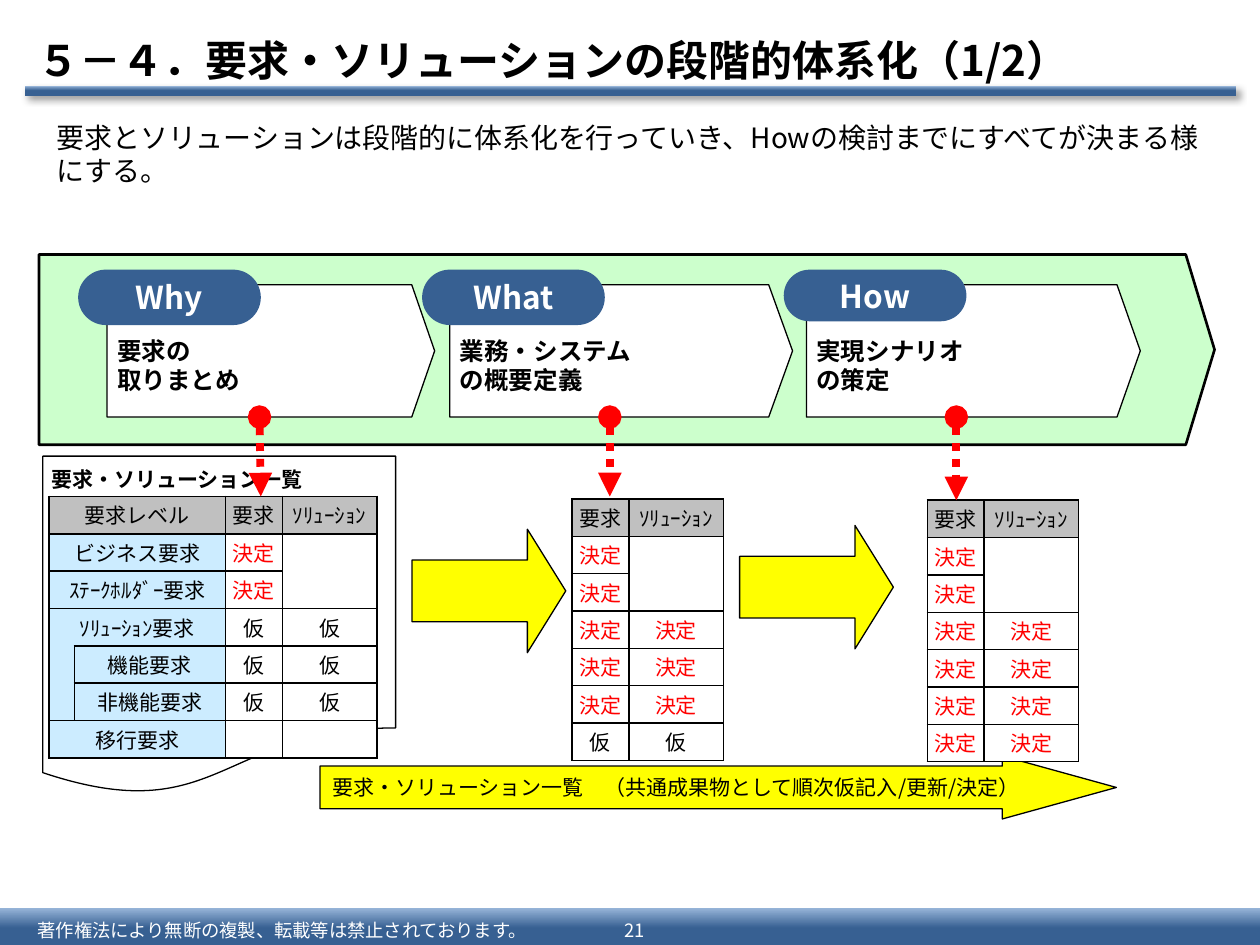
from dataclasses import dataclass

from lxml import etree
from pptx import Presentation
from pptx import util as u
from pptx.dml.color import RGBColor
from pptx.enum import shapes, text
from pptx.oxml import ns


@dataclass(frozen=True)
class Theme:
    font: str = "Noto Sans CJK JP"
    ink: str = "000000"
    paper: str = "FFFFFF"
    navy: str = "376092"
    sky: str = "95B3D7"
    band: str = "CCFFCC"
    arrow: str = "FFFF00"
    header: str = "C0C0C0"
    level: str = "CCECFF"
    decided: str = "FF0000"
    title: float = 24
    pill: float = 18
    body: float = 16
    stage: float = 14
    small: float = 12
    footer: float = 10.5


T = Theme()
GEO = shapes.MSO_SHAPE
CENTER = text.PP_ALIGN.CENTER
MIDDLE = text.MSO_ANCHOR.MIDDLE
HEADINGS = ["要求", "ｿﾘｭｰｼｮﾝ"]


def box_of(*box):
    return [u.Inches(v) for v in box]


def sub(parent, tag, **attrs):
    return etree.SubElement(parent, ns.qn(tag), attrs)


def write(frame, content, size=T.small, color=T.ink, bold=False, align=text.PP_ALIGN.LEFT,
          anchor=MIDDLE, wrap=False, insets=None, pitch=None):
    """Fill a text frame; each line of content becomes a paragraph."""
    frame.word_wrap = wrap
    frame.vertical_anchor = anchor
    if insets:
        (frame.margin_left, frame.margin_top,
         frame.margin_right, frame.margin_bottom) = box_of(*insets)
    for i, line in enumerate(content.split("\n")):
        para = frame.paragraphs[0] if i == 0 else frame.add_paragraph()
        para.alignment = align
        if pitch:
            para.line_spacing = u.Pt(pitch)
        if not line:
            # An empty cell keeps the type size, so its row does not grow
            sub(para._p, "a:endParaRPr", sz=str(round(size * 100)))
            continue
        run = para.add_run()
        run.text = line
        run.font.size = u.Pt(size)
        run.font.bold = bold
        run.font.name = T.font
        run.font.color.rgb = RGBColor.from_string(color)
        sub(run.font._element, "a:ea", typeface=T.font)


def add_text(slide, box, content, **style):
    write(slide.shapes.add_textbox(*box_of(*box)).text_frame, content, **style)


def add_shape(slide, geometry, box, fill=None, line=None, adjust=()):
    shape = slide.shapes.add_shape(geometry, *box_of(*box))
    shape.shadow.inherit = False
    for i, value in enumerate(adjust):
        shape.adjustments[i] = value
    if fill:
        shape.fill.solid()
        shape.fill.fore_color.rgb = RGBColor.from_string(fill)
    if line:
        shape.line.color.rgb = RGBColor.from_string(T.ink)
        shape.line.width = u.Pt(line)
    else:
        shape.line.fill.background()
    return shape


def gradient_bar(slide, box):
    bar = add_shape(slide, GEO.RECTANGLE, box)
    bar.fill.gradient()
    bar.fill.gradient_angle = 90
    for stop, color, position in zip(bar.fill.gradient_stops, (T.navy, T.sky), (0.5, 1)):
        stop.color.rgb = RGBColor.from_string(color)
        stop.position = position
    return bar


def page_frame(slide, title, notice, number):
    """Title with its shadowed rule, and the footer band."""
    gradient_bar(slide, (0, 7.21, 10, 0.31))
    rule = gradient_bar(slide, (0.2, 0.68, 9.61, 0.08))
    effects = rule._element.spPr.find(ns.qn("a:effectLst"))
    shadow = sub(effects, "a:outerShdw", blurRad=str(u.Pt(4)), dist=str(u.Pt(3)),
                 dir="2700000", algn="tl", rotWithShape="0")
    sub(sub(shadow, "a:srgbClr", val=T.ink), "a:alpha", val="40000")
    footer = dict(size=T.footer, color=T.paper, insets=(0.1, 0.04, 0.1, 0.04), wrap=True)
    add_text(slide, (0.2, 7.25, 4.25, 0.26), notice, **footer)
    add_text(slide, (4.76, 7.25, 0.55, 0.26), number, align=CENTER, **footer)

    heading = slide.shapes.title
    heading.left, heading.top, heading.width, heading.height = box_of(0.2, 0.2, 9.8, 0.54)
    write(heading.text_frame, title, size=T.title, bold=True, wrap=True)
    heading.text_frame.auto_size = text.MSO_AUTO_SIZE.NONE


def stage(slide, box, name, task, pill_box, adjust):
    """White pentagon with its task, and the question on a pill."""
    pentagon = add_shape(slide, GEO.PENTAGON, box, T.paper, 0.75, [adjust])
    write(pentagon.text_frame, task, size=T.stage, bold=True,
          insets=(0.08, 0.23, 0.1, 0), pitch=16.5)
    pill = add_shape(slide, GEO.ROUNDED_RECTANGLE, pill_box, T.navy, adjust=[0.5])
    write(pill.text_frame, name, size=T.pill, color=T.paper, bold=True,
          align=CENTER, insets=(0.08, 0, 0.08, 0))


def format_cell(cell, content, fill, color, open_sides):
    write(cell.text_frame, content, color=color, align=CENTER, wrap=True, pitch=17)
    cell.vertical_anchor = MIDDLE
    cell.margin_left = cell.margin_right = u.Inches(0.04)
    cell.margin_top = cell.margin_bottom = u.Inches(0.03)
    tc_pr = cell._tc.get_or_add_tcPr()
    for side in "LRTB":
        border = sub(tc_pr, "a:ln" + side, w=str(u.Pt(1)))
        if side in open_sides:
            sub(border, "a:noFill")
        else:
            sub(sub(border, "a:solidFill"), "a:srgbClr", val=T.ink)
    cell.fill.solid()
    cell.fill.fore_color.rgb = RGBColor.from_string(fill)


def status_table(slide, left, top, rows, levels=()):
    """Decision status per requirement level, optionally with the level names."""
    widths = ([0.2, 1.2] if levels else []) + [0.45, 0.75]
    first = len(widths) - 2
    height = 0.26
    frame = slide.shapes.add_table(len(rows) + 1, len(widths),
                                   *box_of(left, top, sum(widths), height * (len(rows) + 1)))
    table = frame.table
    table.first_row = table.horz_banding = False
    for column, width in zip(table.columns, widths):
        column.width = u.Inches(width)
    for row in table.rows:
        row.height = u.Inches(height)

    # Sides without a border join neighbouring cells
    open_sides = {(1, first + 1): "B", (2, first + 1): "T"}
    for r, values in enumerate([HEADINGS, *rows]):
        for c, value in enumerate(values, first):
            color = T.decided if value == "決定" else T.ink
            format_cell(table.cell(r, c), value, T.paper if r else T.header,
                        color, open_sides.get((r, c), ""))

    # Level names; the two kinds of solution requirement are indented
    for r, level in enumerate(levels):
        indented = level in ("機能要求", "非機能要求")
        if not indented:
            table.cell(r, 0).merge(table.cell(r, 1))
        format_cell(table.cell(r, 1 if indented else 0), level,
                    T.level if r else T.header, T.ink, "B" if level == "ｿﾘｭｰｼｮﾝ要求" else "")
    if levels:
        table.cell(4, 0).merge(table.cell(5, 0))
        format_cell(table.cell(4, 0), "", T.level, T.ink, "T")


def dotted_arrow(slide, x1, y1, x2, y2):
    arrow = slide.shapes.add_connector(shapes.MSO_CONNECTOR.STRAIGHT, *box_of(x1, y1, x2, y2))
    arrow.line.color.rgb = RGBColor.from_string(T.decided)
    arrow.line.width = u.Pt(4.5)
    line = arrow.line._get_or_add_ln()
    sub(line, "a:prstDash", val="sysDot")
    sub(line, "a:headEnd", type="oval")
    sub(line, "a:tailEnd", type="triangle")
    sub(arrow._element.spPr, "a:effectLst")


def main():
    prs = Presentation()
    prs.slide_width, prs.slide_height = u.Inches(10), u.Inches(7.5)
    slide = prs.slides.add_slide(prs.slide_layouts[5])
    page_frame(slide, "５－４．要求・ソリューションの段階的体系化（1/2）",
               "著作権法により無断の複製、転載等は禁止されております。", "21")

    # Process band with three stages
    add_shape(slide, GEO.PENTAGON, (0.31, 2.02, 9.33, 1.51), T.band, 1.5, [0.151])
    for name, task, left, width, adjust, pill_left, pill_height in (
            ("Why", "要求の\n取りまとめ", 0.85, 2.6, 0.173, 0.62, 0.44),
            ("What", "業務・システム\nの概要定義", 3.57, 2.72, 0.18, 3.35, 0.44),
            ("How", "実現シナリオ\nの策定", 6.4, 2.65, 0.176, 6.22, 0.41)):
        stage(slide, (left, 2.26, width, 1.05), name, task,
              (pill_left, 2.14, 1.45, pill_height), adjust)

    # Arrows between the lists and along the bottom
    for left, top in ((3.39, 4.08), (5.99, 4.05)):
        step = add_shape(slide, GEO.UP_ARROW, (left, top, 0.98, 1.22), T.arrow, 0.75, [0.5, 0.311])
        step.rotation = 90
    flow = add_shape(slide, GEO.RIGHT_ARROW, (2.54, 6, 6.32, 0.5), T.arrow, 0.75, [0.68, 1.81])
    write(flow.text_frame, "要求・ソリューション一覧　（共通成果物として順次仮記入/更新/決定）")

    # Requirement and solution lists
    add_shape(slide, GEO.FLOWCHART_DOCUMENT, (0.34, 3.62, 2.8, 2.69), T.paper, 0.75)
    add_text(slide, (0.31, 3.65, 2.2, 0.3), "要求・ソリューション一覧", bold=True)
    decided, tentative, requirement_only = ["決定"] * 2, ["仮"] * 2, ["決定", ""]
    status_table(slide, 0.39, 3.94, [requirement_only] * 2 + [tentative] * 3 + [["", ""]],
                 ["要求レベル", "ビジネス要求", "ｽﾃｰｸﾎﾙﾀﾞｰ要求", "ｿﾘｭｰｼｮﾝ要求",
                  "機能要求", "非機能要求", "移行要求"])
    status_table(slide, 4.54, 3.96, [requirement_only] * 2 + [decided] * 3 + [tentative])
    status_table(slide, 7.36, 3.97, [requirement_only] * 2 + [decided] * 4)

    # Links from each stage to its list
    for x1, x2, bottom in ((2.06, 2.07, 3.94), (4.84, 4.84, 3.94), (7.59, 7.59, 3.97)):
        dotted_arrow(slide, x1, 3.31, x2, bottom)

    # Lead sentence
    add_text(slide, (0.35, 0.91, 9.29, 0.64),
             "要求とソリューションは段階的に体系化を行っていき、Howの検討までにすべてが決まる様にする。",
             size=T.body, anchor=text.MSO_ANCHOR.TOP, wrap=True, pitch=19)
    prs.save("out.pptx")


if __name__ == "__main__":
    main()
